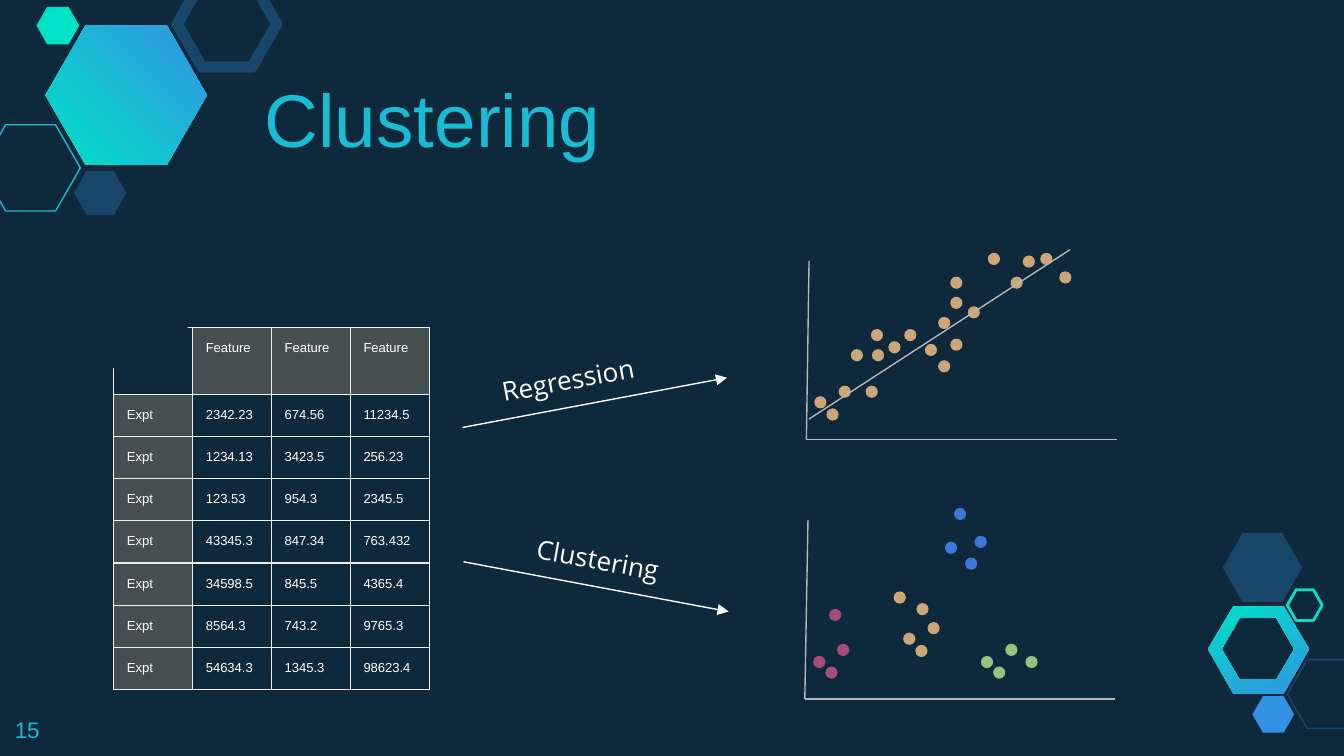
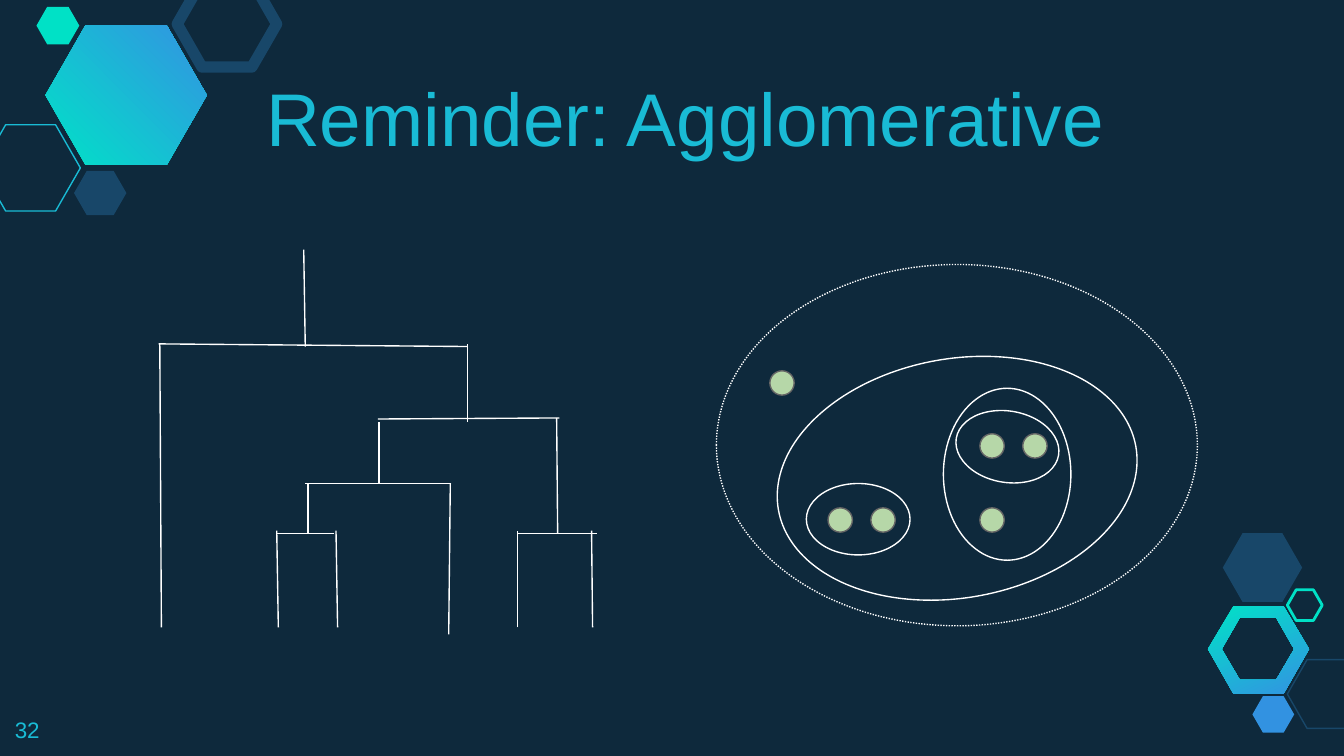
from lxml.etree import SubElement
from pptx import Presentation
from pptx.dml.color import RGBColor as Rgb
from pptx.enum.dml import MSO_LINE as Dash
from pptx.enum.shapes import MSO_CONNECTOR as Wire, MSO_SHAPE as Kind
from pptx.enum.text import MSO_ANCHOR as Anchor, MSO_AUTO_SIZE as Auto, PP_ALIGN as Align
from pptx.oxml.ns import qn
from pptx.util import Cm, Pt

HUE = {
    "back": "0E293C", "cyan": "19BBD5", "navy": "184769", "mint": "00E1C6",
    "sky": "3292E1", "deep": "3393E2", "aqua": "00E2C7", "white": "FFFFFF",
    "gray": "B7B7B7", "edge": "EFEFEF", "sand": "E9BD87", "tan": "CCA677",
    "plum": "A64D79", "blue": "3C78D8", "green": "93C47D", "leaf": "B6D7A8",
    "dark": "666666",
}
RGB = {name: Rgb.from_string(code) for name, code in HUE.items()}


def write(frame, text, size=12, color="white", font="Arial", align=Align.LEFT,
          anchor=Anchor.TOP, wrap=True):
    frame.word_wrap = wrap
    frame.vertical_anchor = anchor
    frame.margin_left = frame.margin_right = Cm(0.25)
    frame.margin_top = frame.margin_bottom = Cm(0.25)
    para = frame.paragraphs[0]
    para.alignment = align
    run = para.add_run()
    run.text = text
    run.font.size = Pt(size)
    run.font.name = font
    run.font.color.rgb = RGB[color]


def draw(page, kind, box, fill=None, line=None, width=0.75, turn=0, arrow=False):
    place = [Cm(n) for n in box]
    if kind == "line":
        item = page.shapes.add_connector(Wire.STRAIGHT, *place)
    else:
        item = page.shapes.add_shape(kind, *place)
        item.shadow.inherit = False
        item.rotation = turn
        if fill:
            item.fill.solid()
            item.fill.fore_color.rgb = RGB[fill]
        else:
            item.fill.background()
    if line:
        item.line.color.rgb = RGB[line]
        item.line.width = Pt(width)
    else:
        item.line.fill.background()
    if kind == "line":
        props = item._element.spPr
        if arrow:
            SubElement(props.find(qn("a:ln")), qn("a:tailEnd"), type="triangle")
        SubElement(props, qn("a:effectLst"))
    if kind == Kind.HEXAGON:
        item.adjustments[0] = 0.287
    return item


deck = Presentation()
deck.slide_width, deck.slide_height = Cm(25.4), Cm(14.29)
back = deck.slide_master.background.fill
back.solid()
back.fore_color.rgb = RGB["back"]

HEXES = [
    ((-0.36, 2.36, 1.88, 1.63), None, "cyan", 0.75),
    ((1.4, 3.23, 0.99, 0.84), "navy", None, 0),
    ((3.35, -0.36, 1.88, 1.63), None, "navy", 6),
    ((0.69, 0.13, 0.81, 0.71), "mint", None, 0),
    ((24.33, 12.47, 1.5, 1.3), None, "navy", 0.75),
    ((23.67, 13.16, 0.79, 0.69), "sky", None, 0),
    ((23.11, 10.08, 1.5, 1.3), "navy", None, 0),
    ((24.33, 11.15, 0.66, 0.58), None, "mint", 1.5),
]
outer, inner = [
    [(left, 1227), (left + cut, top), (right - cut, top),
     (right, 1227), (right - cut, low), (left + cut, low)]
    for left, right, cut, top, low in (
        (2283, 2474, 48, 1146, 1311), (2309, 2446, 34, 1168, 1285))
]

pages = []
for title, number, box in (
    ("Clustering", "15", (4.75, 1.52, 19.76, 1.8)),
    ("Reminder: Agglomerative", "32", (4.78, 0.99, 19.76, 2.31)),
):
    page = deck.slides.add_slide(deck.slide_layouts[5])
    pages.append(page)
    pen = page.shapes.build_freeform(*outer[0], scale=Cm(0.01))
    pen.add_line_segments(outer[1:])
    pen.move_to(*inner[0])
    pen.add_line_segments(inner[1:])
    ring = pen.convert_to_shape()
    ring.shadow.inherit = False
    ring.line.fill.background()
    big = draw(page, Kind.HEXAGON, (0.86, 0.48, 3.05, 2.64))
    for item, angle in ((ring, 296), (big, 45)):
        item.fill.gradient()
        item.fill.gradient_angle = angle
        for stop, name in zip(item.fill.gradient_stops, ("aqua", "deep")):
            stop.color.rgb = RGB[name]
    for spot, fill, line, width in HEXES:
        draw(page, Kind.HEXAGON, spot, fill, line, width)
    foot = page.shapes.add_textbox(Cm(0.03), Cm(13.28), Cm(1.52), Cm(0.99))
    write(foot.text_frame, number, color="cyan")
    head = page.shapes.title
    head.left, head.top, head.width, head.height = [Cm(n) for n in box]
    head.text_frame.auto_size = Auto.NONE
    write(head.text_frame, title, size=40, color="cyan", anchor=Anchor.BOTTOM)

plot, tree = pages

for label, box, turn, path in (
    ("Regression", (9.12, 6.63, 3.15, 0.66), 349.4, (8.74, 8.08, 13.74, 7.14)),
    ("Clustering", (9.37, 10.03, 3.94, 0.66), 10.2, (8.76, 10.62, 13.77, 11.56)),
):
    draw(plot, "line", path, line="white", arrow=True)
    note = plot.shapes.add_textbox(*[Cm(n) for n in box])
    note.rotation = turn
    write(note.text_frame, label, size=14, font="Open Sans", align=Align.CENTER)

for axis in (
    (15.24, 8.31, 15.29, 4.93), (15.24, 8.31, 21.11, 8.31),
    (15.21, 13.21, 15.27, 9.83), (15.21, 13.21, 21.08, 13.21),
):
    draw(plot, "line", axis, line="gray")

DOTS = [
    ("tan", [
        (17.96, 5.23), (17.96, 6.4), (18.29, 5.79), (17.73, 5.99), (16.46, 6.22),
        (16.48, 6.6), (16.36, 7.29), (16.08, 6.6), (17.09, 6.22), (19.66, 4.78),
        (17.96, 5.61), (20.02, 5.13), (18.67, 4.78), (15.85, 7.29), (15.62, 7.72),
        (15.39, 7.49), (19.1, 5.23), (17.73, 6.81), (19.33, 4.83), (16.79, 6.45),
        (17.48, 6.5)]),
    ("plum", [(15.67, 11.51), (15.82, 12.17), (15.6, 12.6), (15.37, 12.4)]),
    ("blue", [(18.03, 9.6), (18.42, 10.13), (18.24, 10.54), (17.86, 10.24)]),
    ("green", [(19.38, 12.4), (19, 12.17), (18.77, 12.6), (18.54, 12.4)]),
    ("tan", [(17.32, 11.4), (17.53, 11.76), (17.3, 12.19), (17.07, 11.96),
             (16.89, 11.18)]),
]
for color, spots in DOTS:
    for x, y in spots:
        draw(plot, Kind.OVAL, (x, y, 0.23, 0.23), color)
draw(plot, "line", (15.29, 7.92, 20.22, 4.72), line="gray")

ROWS = [
    ("", "Feature", "Feature", "Feature"),
    ("Expt", "2342.23", "674.56", "11234.5"),
    ("Expt", "1234.13", "3423.5", "256.23"),
    ("Expt", "123.53", "954.3", "2345.5"),
    ("Expt", "43345.3", "847.34", "763.432"),
    ("Expt", "34598.5", "845.5", "4365.4"),
    ("Expt", "8564.3", "743.2", "9765.3"),
    ("Expt", "54634.3", "1345.3", "98623.4"),
]
grid = plot.shapes.add_table(8, 4, Cm(2.15), Cm(6.19), Cm(5.97), Cm(6.67)).table
grid.first_row = grid.horz_banding = False
for col in grid.columns:
    col.width = Cm(1.49)
for r, row in enumerate(ROWS):
    grid.rows[r].height = Cm(0.78 if r else 1.21)
    for c, text in enumerate(row):
        cell = grid.cell(r, c)
        cell.margin_left = cell.margin_right = Cm(0.25)
        cell.margin_top = cell.margin_bottom = Cm(0.25)
        if text:
            write(cell.text_frame, text, size=7)
        props = cell._tc.get_or_add_tcPr()
        for side in ("lnL", "lnR", "lnT", "lnB"):
            rule = SubElement(props, qn("a:" + side), w=str(Pt(0.75)))
            paint = SubElement(rule, qn("a:solidFill"))
            SubElement(paint, qn("a:srgbClr"), val=HUE["edge"])
        if text and (r == 0 or c == 0):
            cell.fill.solid()
            cell.fill.fore_color.rgb = RGB["sand"]
            tint = props.find(qn("a:solidFill")).find(qn("a:srgbClr"))
            SubElement(tint, qn("a:alpha"), val="26000")
        else:
            cell.fill.background()
        for side in ("lnB", "lnT", "lnR", "lnL"):
            props.insert(0, props.find(qn("a:" + side)))
draw(plot, Kind.RECTANGLE, (1.42, 6.02, 2.13, 0.94), "back")

for box, turn in (
    ((13.54, 5, 9.09, 6.83), 0),
    ((14.66, 6.78, 6.86, 4.52), 349.9),
    ((15.24, 9.14, 1.96, 1.35), 0),
    ((18.06, 7.77, 1.96, 1.35), 9.4),
    ((17.83, 7.34, 2.41, 3.25), 0),
):
    loop = draw(tree, Kind.OVAL, box, line="white", turn=turn)
    if box[0] == 13.54:
        loop.line.dash_style = Dash.ROUND_DOT

for branch in (
    (3.05, 11.86, 3.02, 6.5), (5.26, 11.86, 5.23, 10.03),
    (6.38, 11.86, 6.35, 10.03), (8.48, 11.99, 8.51, 9.14),
    (9.78, 11.86, 9.78, 10.03), (11.2, 11.86, 11.18, 10.03),
    (5.77, 6.55, 5.74, 4.72), (6.32, 10.08, 5.21, 10.08),
    (11.28, 10.08, 9.78, 10.08), (5.82, 10.08, 5.82, 9.14),
    (8.53, 9.14, 5.77, 9.14), (10.54, 10.08, 10.52, 7.9),
    (8.84, 6.55, 3, 6.5), (10.57, 7.9, 7.14, 7.92),
    (8.84, 7.98, 8.84, 6.5), (7.16, 9.14, 7.16, 7.98),
):
    draw(tree, "line", branch, line="white")

for x, y in ((15.65, 9.6), (16.46, 9.6), (18.52, 8.2), (19.33, 8.2),
             (18.52, 9.6), (14.55, 7.01)):
    draw(tree, Kind.OVAL, (x, y, 0.46, 0.46), "leaf", "dark")

deck.save("out.pptx")
